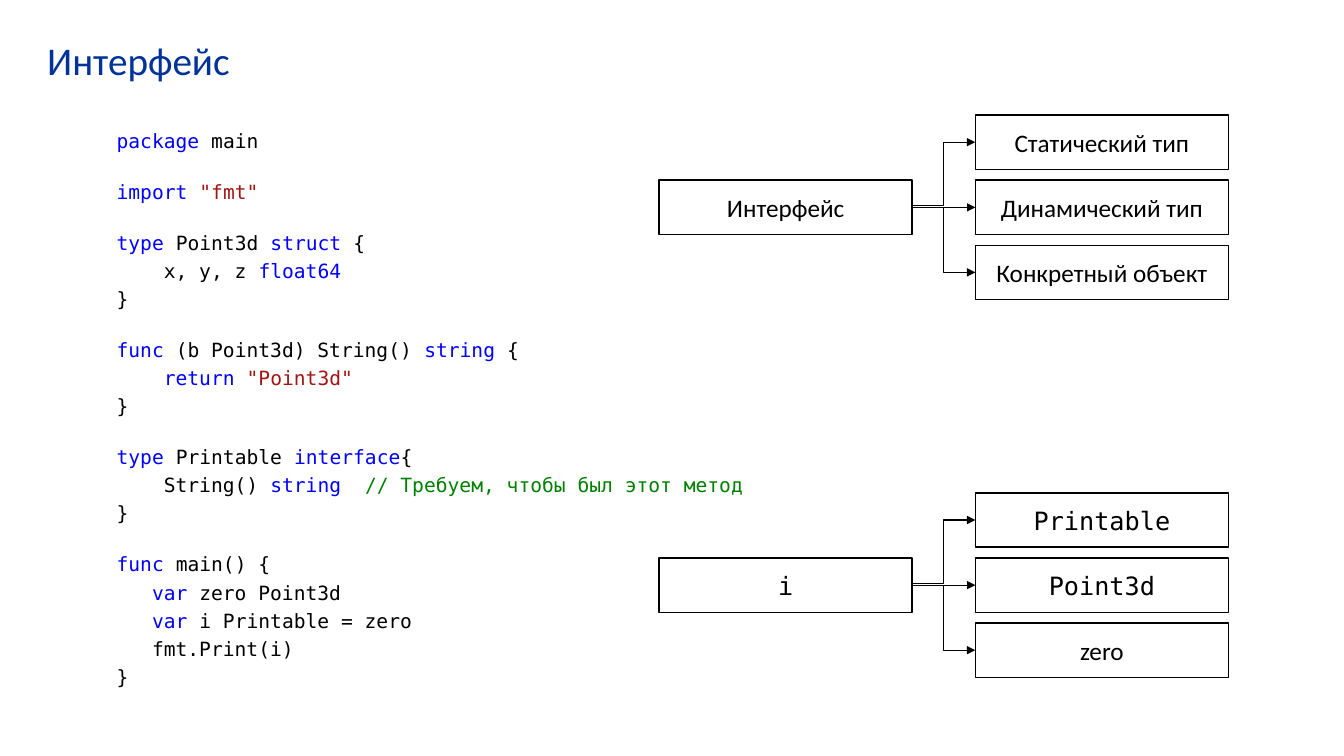
from lxml.etree import SubElement
from pptx import Presentation
from pptx.dml.color import RGBColor
from pptx.enum.shapes import MSO_CONNECTOR, MSO_SHAPE
from pptx.enum.text import MSO_ANCHOR, PP_ALIGN
from pptx.oxml.ns import qn
from pptx.util import Cm, Pt

SANS, MONO = "Calibri", "DejaVu Sans Mono"
BLACK, KEYWORD, LITERAL, COMMENT = "000000", "0000FF", "A31515", "008000"


def rgb(hex_code):
    return RGBColor.from_string(hex_code)


def add_span(para, text, font, size, color):
    span = para.add_run()
    span.text = text
    span.font.name = font
    span.font.size = Pt(size)
    span.font.color.rgb = rgb(color)


deck = Presentation()
deck.slide_width, deck.slide_height = Cm(33.87), Cm(19.05)
page = deck.slides.add_slide(deck.slide_layouts[6])

title = page.shapes.add_textbox(Cm(0.94), Cm(0.8), Cm(32), Cm(2.36))
title.text_frame.word_wrap = True
add_span(title.text_frame.paragraphs[0], "Интерфейс", SANS, 28, "003399")

# Each block is a list of lines: (indent in characters, coloured pieces)
code_blocks = [
    [(0, [("package", KEYWORD), (" main", BLACK)])],
    [(0, [("import ", KEYWORD), ('"fmt"', LITERAL)])],
    [
        (0, [("type", KEYWORD), (" Point3d ", BLACK), ("struct", KEYWORD), (" {", BLACK)]),
        (4, [("x, y, z ", BLACK), ("float64", KEYWORD)]),
        (0, [("}", BLACK)]),
    ],
    [
        (0, [("func", KEYWORD), (" (b Point3d) String() ", BLACK),
             ("string", KEYWORD), (" {", BLACK)]),
        (4, [("return ", KEYWORD), ('"Point3d"', LITERAL)]),
        (0, [("}", BLACK)]),
    ],
    [
        (0, [("type", KEYWORD), (" Printable ", BLACK), ("interface", KEYWORD), ("{", BLACK)]),
        (4, [("String() ", BLACK), ("string  ", KEYWORD),
             ("// Требуем, чтобы был этот метод", COMMENT)]),
        (0, [("}", BLACK)]),
    ],
    [
        (0, [("func", KEYWORD), (" main() {", BLACK)]),
        (3, [("var", KEYWORD), (" zero Point3d", BLACK)]),
        (3, [("var ", KEYWORD), ("i Printable = zero", BLACK)]),
        (3, [("fmt.Print(i)", BLACK)]),
        (0, [("}", BLACK)]),
    ],
]
CHARACTER_WIDTH = Pt(8.43)
LINE_GAP, BLOCK_GAP = Pt(3.3), Pt(19.6)

code = page.shapes.add_textbox(Cm(2.69), Cm(3.12), Cm(24.71), Cm(14.4))
code.text_frame.word_wrap = True
para = code.text_frame.paragraphs[0]
for block_number, block in enumerate(code_blocks):
    for line_number, (indent, pieces) in enumerate(block):
        if block_number or line_number:
            para = code.text_frame.add_paragraph()
            para.space_before = LINE_GAP if line_number else BLOCK_GAP
        para._p.get_or_add_pPr().set("marL", str(indent * CHARACTER_WIDTH))
        for text, color in pieces:
            add_span(para, text, MONO, 14, color)

BOX_WIDTH, BOX_HEIGHT, ROW_PITCH = Cm(6.38), Cm(1.37), Cm(1.64)
OWNER_LEFT, PART_LEFT = Cm(16.61), Cm(24.58)
UPPER_ARROW_SHIFT = Cm(0.05)

diagrams = [
    (Cm(2.9), ("Интерфейс", SANS),
     [("Статический тип", SANS), ("Динамический тип", SANS), ("Конкретный объект", SANS)]),
    (Cm(12.42), ("i", MONO),
     [("Printable", MONO), ("Point3d", MONO), ("zero", SANS)]),
]

for diagram_top, owner, parts in diagrams:
    cells = [(OWNER_LEFT, 1, owner)]
    cells += [(PART_LEFT, row, part) for row, part in enumerate(parts)]
    boxes = []
    for left, row, (label, font) in cells:
        box = page.shapes.add_shape(MSO_SHAPE.RECTANGLE, left, diagram_top + row * ROW_PITCH,
                                    BOX_WIDTH, BOX_HEIGHT)
        box.shadow.inherit = False
        box.fill.solid()
        box.fill.fore_color.rgb = rgb("FFFFFF")
        box.line.color.rgb = rgb(BLACK)
        box.line.width = Pt(1)
        box.text_frame.word_wrap = True
        box.text_frame.vertical_anchor = MSO_ANCHOR.MIDDLE
        para = box.text_frame.paragraphs[0]
        para.alignment = PP_ALIGN.CENTER
        add_span(para, label, font, 18, BLACK)
        boxes.append(box)

    owner_box, *part_boxes = boxes
    start_x = OWNER_LEFT + BOX_WIDTH
    start_y = owner_box.top + BOX_HEIGHT // 2
    for row, part_box in enumerate(part_boxes):
        kind = MSO_CONNECTOR.STRAIGHT if row == 1 else MSO_CONNECTOR.ELBOW
        shift = UPPER_ARROW_SHIFT if row == 0 else 0
        arrow = page.shapes.add_connector(kind, start_x, start_y - shift,
                                          PART_LEFT, part_box.top + BOX_HEIGHT // 2)
        if row == 1:
            arrow.begin_connect(owner_box, 3)
            arrow.end_connect(part_box, 1)
        arrow.line.color.rgb = rgb(BLACK)
        arrow.line.width = Pt(0.75)
        SubElement(arrow.line._get_or_add_ln(), qn("a:tailEnd"), type="triangle")
        SubElement(arrow._element.spPr, qn("a:effectLst"))

deck.save("out.pptx")
